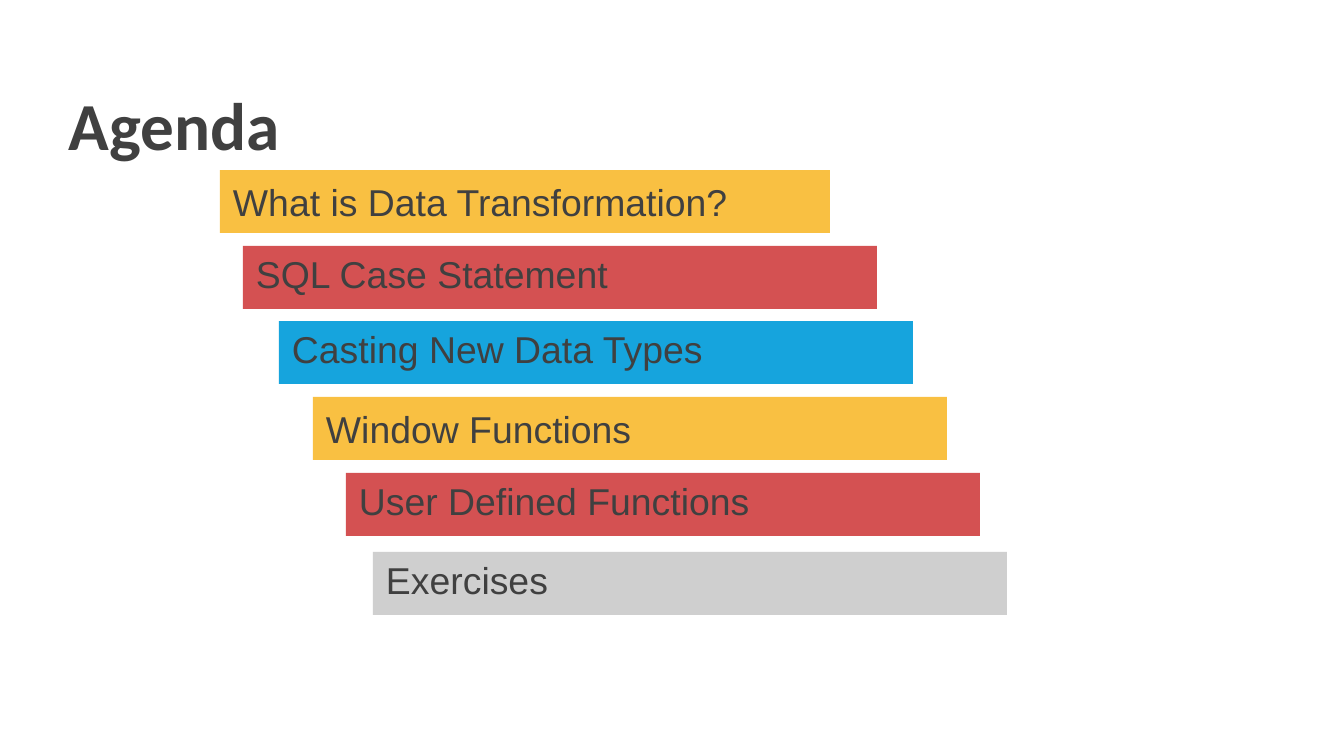
from pptx import Presentation
from pptx.dml.color import RGBColor
from pptx.enum.shapes import MSO_SHAPE
from pptx.enum.text import MSO_ANCHOR, MSO_AUTO_SIZE, PP_ALIGN
from pptx.util import Emu, Pt

EMU_PER_PX = 914400 / 134.4

INK = RGBColor(0x40, 0x40, 0x40)
YELLOW = RGBColor(0xF9, 0xC0, 0x42)
RED = RGBColor(0xD4, 0x51, 0x52)
BLUE = RGBColor(0x16, 0xA4, 0xDD)
GREY = RGBColor(0xCF, 0xCF, 0xCF)

TITLE = "Agenda"
TITLE_BOX = (56, 70, 539, 85)
BAR_HEIGHT = 63
INSET = 13

# text, left, top, width, fill, line spacing
AGENDA = [
    ("What is Data Transformation?", 220, 170, 610, YELLOW, 1.0),
    ("SQL Case Statement", 243, 246, 634, RED, 0.8),
    ("Casting New Data Types", 279, 321, 634, BLUE, 0.8),
    ("Window Functions", 313, 397, 634, YELLOW, 1.0),
    ("User Defined Functions", 346, 473, 634, RED, 0.8),
    ("Exercises", 373, 552, 634, GREY, 0.8),
]


def px(length):
    return Emu(round(length * EMU_PER_PX))


def write(shape, text, *, font, size, bold=False, anchor=MSO_ANCHOR.MIDDLE,
          line_spacing=1.0):
    frame = shape.text_frame
    frame.word_wrap = True
    frame.auto_size = MSO_AUTO_SIZE.NONE
    frame.vertical_anchor = anchor
    frame.margin_left = frame.margin_right = px(INSET)
    frame.margin_top = frame.margin_bottom = px(INSET)
    paragraph = frame.paragraphs[0]
    paragraph.alignment = PP_ALIGN.LEFT
    paragraph.line_spacing = line_spacing
    run = paragraph.add_run()
    run.text = text
    run.font.name = font
    run.font.size = Pt(size)
    run.font.bold = bold
    run.font.color.rgb = INK


def add_bar(slide, text, left, top, width, fill, line_spacing):
    bar = slide.shapes.add_shape(
        MSO_SHAPE.RECTANGLE, px(left), px(top), px(width), px(BAR_HEIGHT))
    bar.shadow.inherit = False
    bar.fill.solid()
    bar.fill.fore_color.rgb = fill
    bar.line.fill.background()
    write(bar, text, font="Arial", size=20, line_spacing=line_spacing)


def main():
    presentation = Presentation()
    presentation.slide_width = px(1344)
    presentation.slide_height = px(756)
    slide = presentation.slides.add_slide(presentation.slide_layouts[5])

    title = slide.shapes.title
    title.left, title.top, title.width, title.height = map(px, TITLE_BOX)
    write(title, TITLE, font="Calibri", size=36, bold=True,
          anchor=MSO_ANCHOR.TOP)

    for item in AGENDA:
        add_bar(slide, *item)

    presentation.save("out.pptx")


if __name__ == "__main__":
    main()
